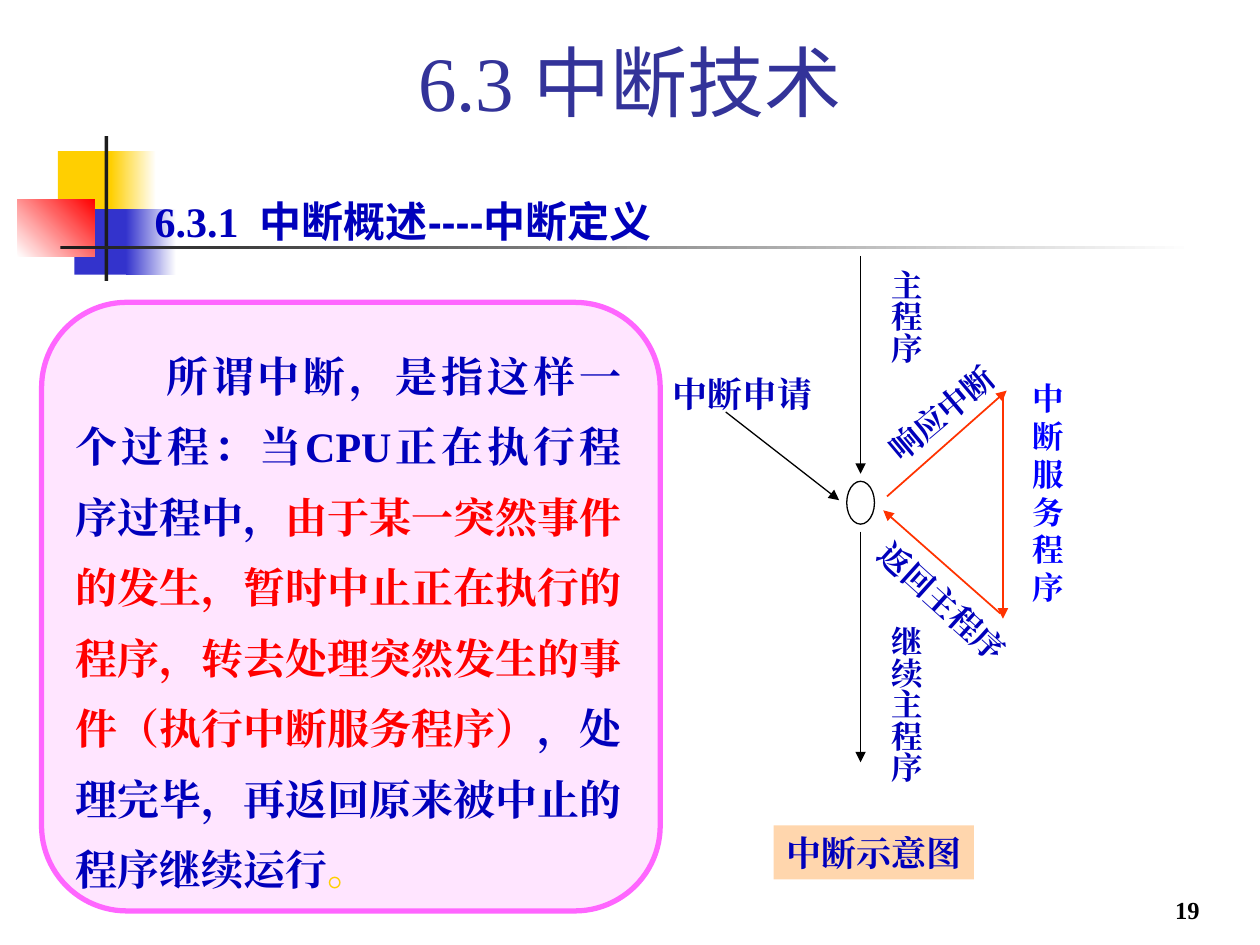
from pptx import Presentation
from pptx.dml.color import RGBColor
from pptx.enum.shapes import MSO_CONNECTOR as Conn, MSO_SHAPE as Kind
from pptx.enum.text import MSO_ANCHOR as Anchor, MSO_AUTO_SIZE as Auto, PP_ALIGN as Align
from pptx.oxml.ns import qn
from pptx.util import Pt
from lxml.etree import SubElement

PX = 9144
SERIF = "Times New Roman"
NAVY = "0000BB"
GOLD = "FFCF01"
BLUE = "3333CC"
INK = "1C1C1C"
WHITE = "FFFFFF"
RED = "FF3300"


def px(*nums):
    return [n * PX for n in nums]


def rgb(code):
    return RGBColor.from_string(code)


def paint(shape, code):
    shape.fill.solid()
    shape.fill.fore_color.rgb = rgb(code)


def block(slide, kind, box, fill=None, line=None, width=1):
    shape = slide.shapes.add_shape(kind, *px(*box))
    shape.shadow.inherit = False
    if fill:
        paint(shape, fill)
    else:
        shape.fill.background()
    if line:
        shape.line.color.rgb = rgb(line)
        shape.line.width = Pt(width)
    else:
        shape.line.fill.background()
    return shape


def fade(slide, box, start, end, angle=0):
    shape = block(slide, Kind.RECTANGLE, box)
    shape.fill.gradient()
    shape.fill.gradient_angle = angle
    for stop, code, spot in zip(shape.fill.gradient_stops, (start, end), (0, 1)):
        stop.color.rgb = rgb(code)
        stop.position = spot


def write(shape, runs, size, align=Align.LEFT, bold=True, space=None, wrap=True):
    frame = shape.text_frame
    frame.word_wrap = wrap
    frame.auto_size = Auto.NONE
    para = frame.paragraphs[0]
    para.alignment = align
    para.space_before = Pt(0)
    if space:
        para.line_spacing = space
    for text, code, face in runs:
        run = para.add_run()
        run.text = text
        font = run.font
        font.size = Pt(size)
        font.bold = bold
        font.color.rgb = rgb(code)
        font.name = face
        SubElement(font._element, qn("a:ea")).set("typeface", face)
    return para


def label(slide, box, text, size=18, code=NAVY, turn=0, tall=False):
    shape = slide.shapes.add_textbox(*px(*box))
    shape.rotation = turn
    write(shape, [(text, code, SERIF)], size)
    if tall:
        shape.text_frame._txBody.bodyPr.set("vert", "eaVert")


def arrow(slide, ends, code="000000", width=0.75):
    line = slide.shapes.add_connector(Conn.STRAIGHT, *px(*ends))
    line.line.color.rgb = rgb(code)
    line.line.width = Pt(width)
    SubElement(line.line._get_or_add_ln(), qn("a:tailEnd")).set("type", "triangle")
    SubElement(line._element.spPr, qn("a:effectLst"))


def motif(slide, x, y):
    block(slide, Kind.RECTANGLE, (x + 32, y + 12, 48, 52), GOLD)
    fade(slide, (x + 74, y + 12, 36, 52), GOLD, WHITE)
    block(slide, Kind.RECTANGLE, (x + 45, y + 58, 46, 52), BLUE)
    fade(slide, (x + 86, y + 58, 40, 52), BLUE, WHITE)
    fade(slide, (x, y + 50, 61, 46), WHITE, "FF0000", 45)
    block(slide, Kind.RECTANGLE, (x + 69, y, 3, 115), INK)
    fade(slide, (x + 34, y + 87, 900, 3), INK, WHITE)


def head(slide, x, y):
    title = slide.shapes.title
    title.left, title.top, title.width, title.height = px(x, y, 1000, 88)
    paint(title, WHITE)
    title.text_frame.vertical_anchor = Anchor.MIDDLE
    runs = [("6.3 ", "333399", SERIF), ("中断技术", "333399", "Roboto")]
    write(title, runs, 44, Align.CENTER, False)
    topic = slide.shapes.add_textbox(*px(x + 113, y + 116, 516, 65))
    runs = [("6.3.1  ", NAVY, SERIF), ("中断概述----中断定义", NAVY, "Arial")]
    write(topic, runs, 24, Align.JUSTIFY, space=1.35)


def panel(slide, x, y):
    card = block(slide, Kind.ROUNDED_RECTANGLE, (x, y, 491, 483), "FFCCFF", "FF66FF", 3)
    card.adjustments[0] = 0.14
    tint = card._element.spPr.find(qn("a:solidFill"))[0]
    SubElement(tint, qn("a:alpha")).set("val", "50000")
    body = slide.shapes.add_textbox(*px(x + 17, y + 17, 453, 457))
    parts = [
        ("所谓中断，是指这样一个过程：当CPU正在执行程序过程中，", NAVY),
        ("由于某一突然事件的发生，暂时中止正在执行的程序，转去处理突然发生的事件（执行中断服务程序）", "FF0000"),
        ("，处理完毕，再返回原来被中止的程序继续运行", NAVY),
        ("。", GOLD),
    ]
    runs = [(text, code, SERIF) for text, code in parts]
    para = write(body, runs, 24, Align.JUSTIFY, space=1.4)
    para._p.get_or_add_pPr().set("indent", str(72 * PX))


def flow(slide, x, y):
    mid = x + 159
    block(slide, Kind.OVAL, (mid - 11, y + 179, 22, 34), None, "000000", 0.75)
    arrow(slide, (mid, y, mid, y + 173))
    arrow(slide, (x + 52, y + 124, x + 142, y + 194))
    arrow(slide, (mid, y + 219, mid, y + 402))
    for ends in (
        (x + 180, y + 191, x + 275, y + 107),
        (x + 272, y + 113, x + 272, y + 288),
        (x + 270, y + 284, x + 177, y + 202),
    ):
        arrow(slide, ends, RED, 1)
    label(slide, (x, y + 88, 153, 44), "中断申请", 20)
    label(slide, (x + 165, y + 1, 50, 113), "主程序", tall=True)
    label(slide, (x + 165, y + 284, 50, 149), "继续主程序", tall=True)
    label(slide, (x + 286, y + 93, 47, 192), "中断服务程序", code="0000FF")
    label(slide, (x + 159, y + 92, 159, 40), "响应中断", turn=320)
    label(slide, (x + 150, y + 259, 159, 40), "返回主程序", turn=42)
    name = block(slide, Kind.RECTANGLE, (x + 90, y + 452, 159, 43), "FFD6AD")
    write(name, [("中断示意图", NAVY, SERIF)], 20, wrap=False)


def foot(slide, x, y):
    page = slide.shapes.add_textbox(*px(x, y, 208, 50))
    page.text_frame.vertical_anchor = Anchor.BOTTOM
    write(page, [("19", "000000", SERIF)], 14, Align.RIGHT)


def main():
    deck = Presentation()
    deck.slide_width, deck.slide_height = px(1000, 750)
    slide = deck.slides.add_slide(deck.slide_layouts[5])
    motif(slide, 14, 108)
    head(slide, 0, 20)
    panel(slide, 33, 240)
    flow(slide, 524, 203)
    foot(slide, 754, 689)
    deck.save("out.pptx")


if __name__ == "__main__":
    main()
